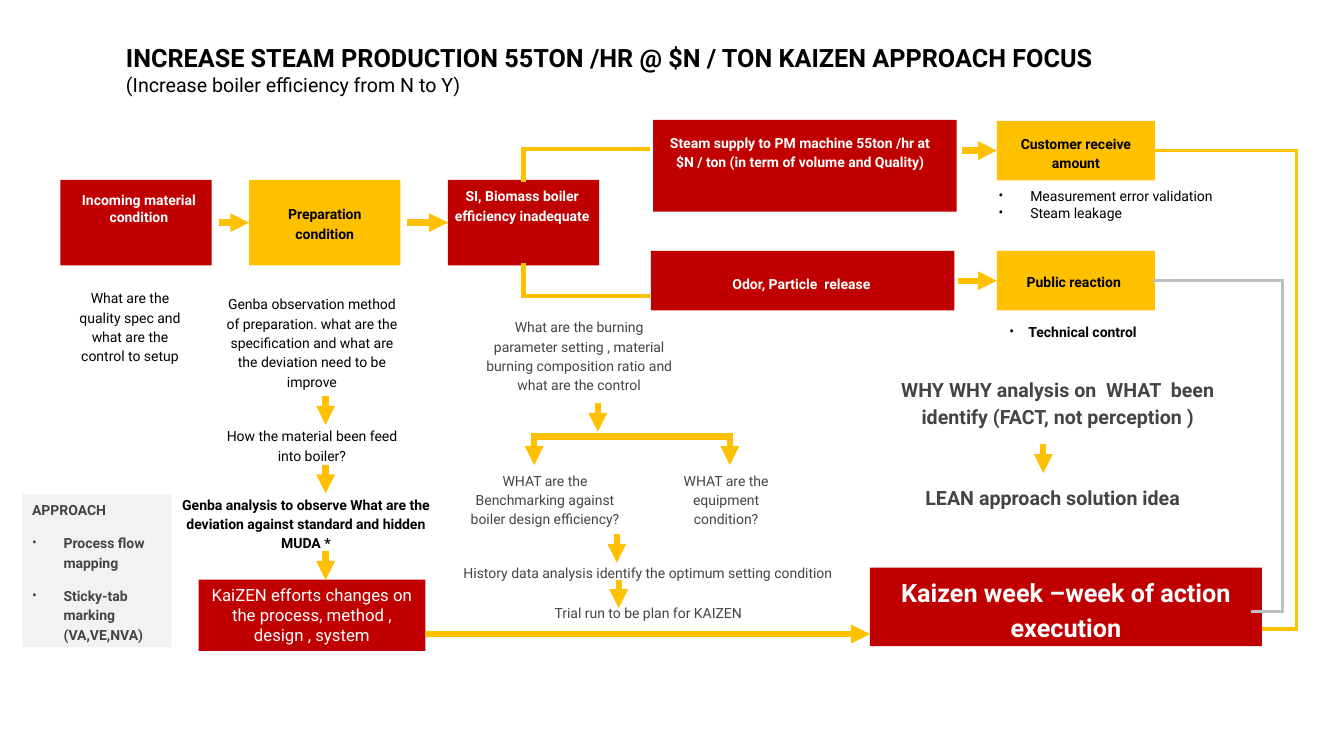
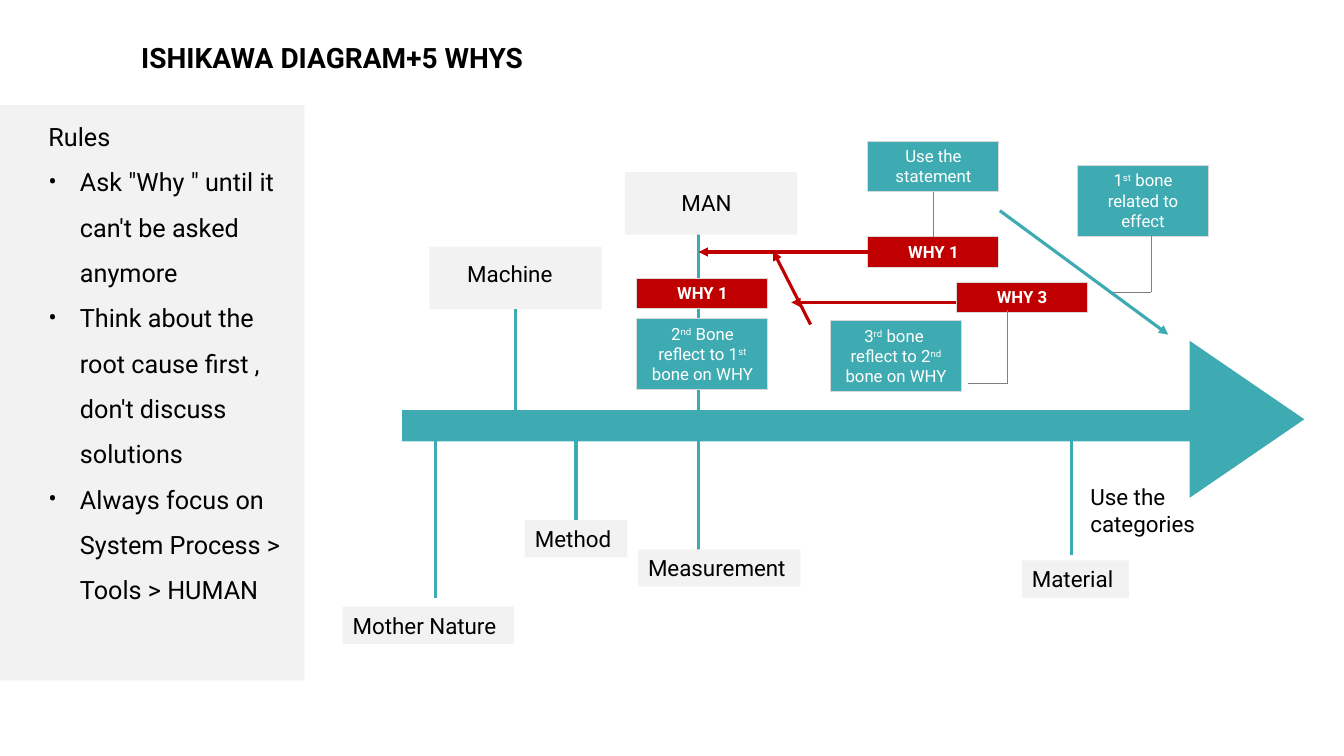
from dataclasses import dataclass
from typing import Optional

from lxml.etree import SubElement
from pptx import Presentation
from pptx.dml.color import RGBColor
from pptx.enum.shapes import MSO_CONNECTOR as Connector, MSO_SHAPE as Preset
from pptx.enum.text import MSO_ANCHOR as Anchor, MSO_AUTO_SIZE as AutoSize, PP_ALIGN as Align
from pptx.oxml.ns import qn
from pptx.util import Pt

FONT = "Roboto"
BLACK = RGBColor(0x00, 0x00, 0x00)
WHITE = RGBColor(0xFF, 0xFF, 0xFF)
CHARCOAL = RGBColor(0x44, 0x44, 0x44)
GRAY = RGBColor(0x80, 0x80, 0x80)
SILVER = RGBColor(0xBF, 0xBF, 0xBF)
BORDER = RGBColor(0xD9, 0xD9, 0xD9)
PALE = RGBColor(0xF2, 0xF2, 0xF2)
RED = RGBColor(0xC0, 0x00, 0x00)
AMBER = RGBColor(0xFF, 0xC0, 0x00)
TEAL = RGBColor(0x3D, 0xAB, 0xB1)

TOP, LEFT, BOTTOM, RIGHT = range(4)
INSETS = (7.2, 3.6, 7.2, 3.6)
DOWN_ARROW_LENGTH = 20.4


@dataclass(frozen=True)
class Box:
    x: float
    y: float
    w: float
    h: float
    text: tuple = ()
    fill: Optional[RGBColor] = None
    color: RGBColor = BLACK
    size: float = 10
    bold: bool = False
    align: Align = Align.CENTER
    spacing: float = 1.0
    after: float = 0
    anchor: Anchor = Anchor.TOP
    insets: tuple = INSETS
    wrap: bool = True
    border: Optional[RGBColor] = None
    bullets_from: int = 99
    indent: float = 22.5


@dataclass(frozen=True)
class Line:
    start: tuple
    end: tuple
    color: RGBColor = AMBER
    weight: float = 4.5
    arrow: bool = True
    begin: Optional[tuple] = None
    finish: Optional[tuple] = None
    square: bool = False


def write(shape, paragraphs: tuple, *, size=10, color=BLACK, bold=False, align=Align.LEFT,
          spacing=1.0, after=0, anchor=Anchor.TOP, insets=INSETS, wrap=True,
          bullets_from=99, indent=22.5) -> None:
    frame = shape.text_frame
    frame.word_wrap = wrap
    frame.auto_size = AutoSize.NONE
    frame.vertical_anchor = anchor
    frame.margin_left, frame.margin_top, frame.margin_right, frame.margin_bottom = map(Pt, insets)
    for index, text in enumerate(paragraphs):
        paragraph = frame.add_paragraph() if index else frame.paragraphs[0]
        paragraph.alignment = align
        paragraph.line_spacing = spacing
        paragraph.space_after = Pt(after if index < len(paragraphs) - 1 else 0)
        if index >= bullets_from:
            properties = paragraph._p.get_or_add_pPr()
            properties.set("marL", str(Pt(indent)))
            properties.set("indent", str(-Pt(indent)))
            SubElement(properties, qn("a:buFont")).set("typeface", FONT)
            SubElement(properties, qn("a:buChar")).set("char", "•")
        for position, part in enumerate(text.split("^")):
            run = paragraph.add_run()
            run.text = part
            run.font.name, run.font.size, run.font.bold = FONT, Pt(size), bold
            run.font.color.rgb = color
            if position % 2:
                run._r.get_or_add_rPr().set("baseline", "30000")


def draw_box(slide, box: Box, preset: Preset = Preset.RECTANGLE):
    frame = tuple(map(Pt, (box.x, box.y, box.w, box.h)))
    if box.fill is None:
        shape = slide.shapes.add_textbox(*frame)
    else:
        shape = slide.shapes.add_shape(preset, *frame)
        shape.shadow.inherit = False
        shape.fill.solid()
        shape.fill.fore_color.rgb = box.fill
        if box.border is None:
            shape.line.fill.background()
        else:
            shape.line.color.rgb = box.border
            shape.line.width = Pt(0.75)
    if box.text:
        write(shape, box.text, size=box.size, color=box.color, bold=box.bold, align=box.align,
              spacing=box.spacing, after=box.after, anchor=box.anchor, insets=box.insets,
              wrap=box.wrap, bullets_from=box.bullets_from, indent=box.indent)
    return shape


def draw_line(slide, line: Line) -> None:
    connector = slide.shapes.add_connector(
        Connector.STRAIGHT, *map(Pt, (*line.start, *line.end)))
    connector.line.color.rgb = line.color
    connector.line.width = Pt(line.weight)
    outline = connector.line._get_or_add_ln()
    if line.square:
        outline.set("cap", "sq")
    if line.arrow:
        SubElement(outline, qn("a:tailEnd")).set("type", "triangle")
    SubElement(connector._element.spPr, qn("a:effectLst"))
    if line.begin:
        connector.begin_connect(*line.begin)
    if line.finish:
        connector.end_connect(*line.finish)


def draw_route(slide, points: list, color: RGBColor, weight: float,
               begin: Optional[tuple] = None) -> None:
    for index, (start, end) in enumerate(zip(points, points[1:])):
        draw_line(slide, Line(start, end, color, weight, arrow=False,
                              begin=None if index else begin, square=True))


def titled_slide(deck, left: float, top: float, width: float, height: float,
                 lines: tuple, size: float):
    slide = deck.slides.add_slide(deck.slide_layouts[5])
    title = slide.shapes.title
    title.left, title.top, title.width, title.height = map(Pt, (left, top, width, height))
    write(title, lines, size=size, bold=True)
    return slide


def kaizen_slide(deck) -> None:
    slide = titled_slide(deck, 82.8, 26.6, 861.8, 46, (
        "INCREASE STEAM PRODUCTION 55TON /HR @ $N / TON KAIZEN APPROACH FOCUS",
        "(Increase boiler efficiency from N to Y)"), 18)
    subtitle = slide.shapes.title.text_frame.paragraphs[1].runs[0]
    subtitle.font.size, subtitle.font.bold = Pt(14), False

    def stage(x, y, w, h, text, fill, **style):
        color = WHITE if fill == RED else BLACK
        settings = {"bold": True, "spacing": 1.15, **style}
        return draw_box(slide, Box(x, y, w, h, (text,), fill, color, **settings))

    flow_y, flow_w, flow_h = 128.4, 108, 61.2
    stage(43.2, flow_y, flow_w, flow_h, "Incoming material condition", RED,
          spacing=1.0, insets=(9, 8.4, 5, 3.6))
    preparation = stage(178, flow_y, flow_w, flow_h, "Preparation condition", AMBER,
                        anchor=Anchor.MIDDLE, insets=(14, 3.6, 14, 3.6))
    boiler = stage(320, flow_y, flow_w, flow_h, "SI, Biomass boiler efficiency inadequate",
                   RED, insets=(0.4, 4, 2.4, 3.6))
    outcome_w, receiver_x, receiver_w, outcome_h = 216.7, 712, 113, 42.4
    stage(466.6, 85.7, outcome_w, 65.6,
          "Steam supply to PM machine 55ton /hr at $N / ton (in term of volume and Quality)",
          RED, insets=(10.8, 8.6, 18, 3.6))
    stage(465, 179.3, outcome_w, outcome_h, "Odor, Particle  release", RED,
          anchor=Anchor.MIDDLE, insets=(7.2, 6.4, 9, 3.6))
    customer = stage(receiver_x, 86.4, receiver_w, outcome_h, "Customer receive amount", AMBER,
                     anchor=Anchor.MIDDLE, insets=(7.2, 6, 7.2, 3.6))
    public = stage(receiver_x, 179.3, receiver_w, outcome_h, "Public reaction", AMBER,
                   anchor=Anchor.MIDDLE, insets=(5, 3.6, 8, 3.6))
    stage(141.8, 414, 162, 51, "KaiZEN efforts changes on the process, method , design , system",
          RED, size=12, bold=False, spacing=1.0)
    stage(621.4, 405.4, 280, 56.2, "Kaizen week –week of action execution", RED, size=18)

    plain = {"spacing": 1.15}
    dark = {"spacing": 1.15, "color": CHARCOAL}
    strong = {"spacing": 1.15, "bold": True}
    heading = {**dark, "bold": True, "size": 14}
    notes = [
        Box(706.3, 130.3, 182, 31.7, ("Measurement error validation", "Steam leakage"),
            align=Align.LEFT, bullets_from=0),
        Box(690.5, 226, 152, 19.4, ("Technical control",), bullets_from=0, indent=13.5, **strong),
        Box(44.6, 201.6, 96.5, 62,
            ("What are the quality spec and what are the control to setup",), **plain),
        Box(152.6, 206, 140.4, 75.6,
            ("Genba observation method of preparation. what are the specification and "
             "what are the deviation need to be improve",), **plain),
        Box(152.6, 300.2, 140.4, 33.8, ("How the material been feed into boiler?",), **plain),
        Box(122.4, 349.2, 192.2, 47.5,
            ("Genba analysis to observe What are the deviation against standard and "
             "hidden MUDA *",), **strong),
        Box(337.7, 222.5, 152, 62,
            ("What are the burning parameter setting , material burning composition ratio "
             "and what are the control",), **dark),
        Box(327, 332, 124.6, 47.5,
            ("WHAT are the Benchmarking against boiler design efficiency?",), **dark),
        Box(476.6, 332, 84.2, 47.5, ("WHAT are the equipment condition?",), **dark),
        Box(324, 398.2, 280.8, 19.4,
            ("History data analysis identify the optimum setting condition",),
            align=Align.LEFT, **dark),
        Box(322.6, 426.2, 280.8, 19.4, ("Trial run to be plan for KAIZEN",), **dark),
        Box(615.6, 264.2, 280, 44.6,
            ("WHY WHY analysis on  WHAT  been identify (FACT, not perception )",), **heading),
        Box(612, 341.3, 280, 26, ("LEAN approach solution idea",), **heading),
        Box(15.8, 352.8, 106.6, 109.4,
            ("APPROACH", "Process flow mapping", "Sticky-tab marking (VA,VE,NVA)"),
            PALE, CHARCOAL, bold=True, align=Align.LEFT, spacing=1.15, after=10, bullets_from=1),
    ]
    for note in notes:
        draw_box(slide, note)

    for x, y in [(232.6, 283), (232.6, 332), (232.6, 393.8), (427, 288), (381.6, 311.8),
                 (521.3, 311.8), (440.6, 381.6), (442, 414), (745.2, 317.5)]:
        draw_line(slide, Line((x, y), (x, y + DOWN_ARROW_LENGTH)))
    for x, y, target in [(156.2, 159, preparation), (291, 159, boiler),
                         (687, 107.6, customer), (684, 200.5, public)]:
        draw_line(slide, Line((x, y), (x + 25, y), finish=(target, LEFT)))
    draw_line(slide, Line((379.4, 311.8), (523.4, 311.8), arrow=False))
    draw_line(slide, Line((303.8, 452.9), (621.4, 452.9)))

    draw_route(slide, [(374, 128.4), (374, 106.6), (463, 106.6)], AMBER, 3, (boiler, TOP))
    draw_route(slide, [(374, 189.6), (374, 211.7), (463, 211.7)], AMBER, 3, (boiler, BOTTOM))
    draw_route(slide, [(825, 200.5), (915.8, 200.5), (915.8, 437), (894.6, 437)],
               SILVER, 2.25, (public, RIGHT))
    draw_route(slide, [(825, 107.6), (926, 107.6), (926, 449.3), (902.5, 449.3)],
               AMBER, 2.25, (customer, RIGHT))


def ishikawa_slide(deck) -> None:
    slide = titled_slide(deck, 93.6, 25.2, 576, 31.7, ("ISHIKAWA DIAGRAM+5 WHYS",), 20)
    spine_top, spine_bottom = 293, 315.3
    for x, outer, spine_y in [(311, 427, spine_bottom), (499, 156.2, spine_top),
                              (499, 396.7, spine_bottom), (765.4, 396.7, spine_bottom)]:
        draw_line(slide, Line((x, outer), (x, spine_y), TEAL, 2.25, arrow=False))
    for start, end, color in [((579, 231.8), (552.2, 179.3), RED),
                              ((685.4, 216), (565.2, 216), RED),
                              ((714.2, 150.5), (834.5, 239), TEAL)]:
        draw_line(slide, Line(start, end, color, 2.25))

    draw_box(slide, Box(287.3, spine_top, 589.7, spine_bottom - spine_top, fill=TEAL))
    spine_head = draw_box(slide, Box(834.5, 258.5, 112.3, 82, fill=TEAL),
                          Preset.ISOSCELES_TRIANGLE)
    spine_head.rotation = 90

    def category(x, y, w, h, text, insets=INSETS):
        return draw_box(slide, Box(x, y, w, h, (text,), PALE, size=16, align=Align.LEFT,
                                   insets=insets, wrap=False))

    label_h, plate_w, plate_h = 26.6, 123, 44.6
    category(244.8, 433.4, 122.4, label_h, "Mother Nature")
    method = category(375, 371.5, 73, label_h, "Method")
    category(455.8, 392.4, 116, label_h, "Measurement")
    category(730, 400.3, 76.3, label_h, "Material")
    machine = category(306.7, 176.4, plate_w, plate_h, "Machine", (27, 9.4, 7.2, 3.6))
    category(446.4, 123, plate_w, plate_h, "MAN", (40.3, 12.2, 7.2, 3.6))
    draw_box(slide, Box(771.8, 341.3, 89.3, 46, ("Use the categories",), size=16,
                        align=Align.LEFT))

    def tag(x, y, h, text, fill=TEAL):
        return draw_box(slide, Box(x, y, 93.6, h, (text,), fill, WHITE, 12,
                                   bold=fill == RED, border=BORDER))

    why_h, bone_h = 21.6, 51
    tag(455, 227.5, bone_h, "2^nd^ Bone reflect to 1^st^ bone on WHY")
    tag(593.3, 229, bone_h, "3^rd^ bone  reflect to 2^nd^ bone on WHY")
    tag(769.7, 118, bone_h, "1^st^ bone related to effect")
    statement = tag(620, 100.8, 36, "Use the statement")
    first_why = tag(620, 169.2, why_h, "WHY 1", RED)
    tag(683.3, 201.6, why_h, "WHY 3", RED)
    tag(455, 198.7, why_h, "WHY 1", RED)

    for line in [
        Line((368.2, 221), (368.2, spine_top), TEAL, 2.25, False, begin=(machine, BOTTOM)),
        Line((411.5, 371.5), (411.5, spine_bottom), TEAL, 2.25, False, begin=(method, TOP)),
        Line((620, 180), (499, 180), RED, 2.25, begin=(first_why, LEFT)),
        Line((666.8, 169.2), (666.8, 136.8), GRAY, 0.5, False,
             begin=(first_why, TOP), finish=(statement, BOTTOM)),
    ]:
        draw_line(slide, line)
    draw_route(slide, [(692, 273.8), (719.3, 273.8), (719.3, 221.8)], GRAY, 0.5)
    draw_route(slide, [(795, 208.5), (822.2, 208.5), (822.2, 169)], GRAY, 0.5)

    draw_box(slide, Box(0, 75, 217.4, 411, (
        "Rules",
        "Ask \"Why \" until it can't be asked anymore",
        "Think about the root cause first , don't discuss solutions",
        "Always focus on System Process > Tools > HUMAN",
    ), PALE, size=18, align=Align.LEFT, spacing=1.5, insets=(34.6, 0.7, 16.5, 3.6),
        bullets_from=1))


def main() -> None:
    deck = Presentation()
    deck.slide_width, deck.slide_height = Pt(960), Pt(540)
    kaizen_slide(deck)
    ishikawa_slide(deck)
    deck.save("out.pptx")


if __name__ == "__main__":
    main()
